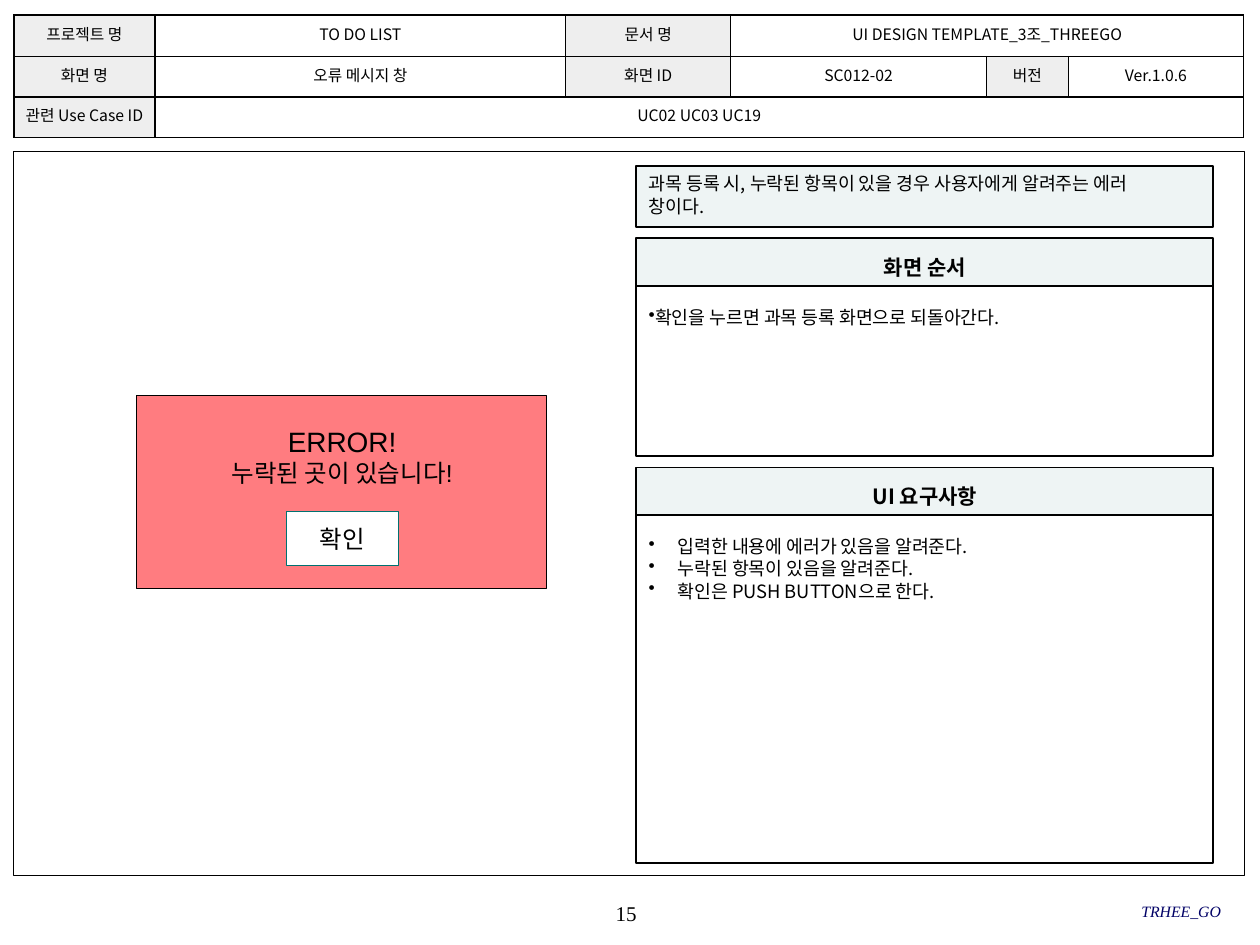
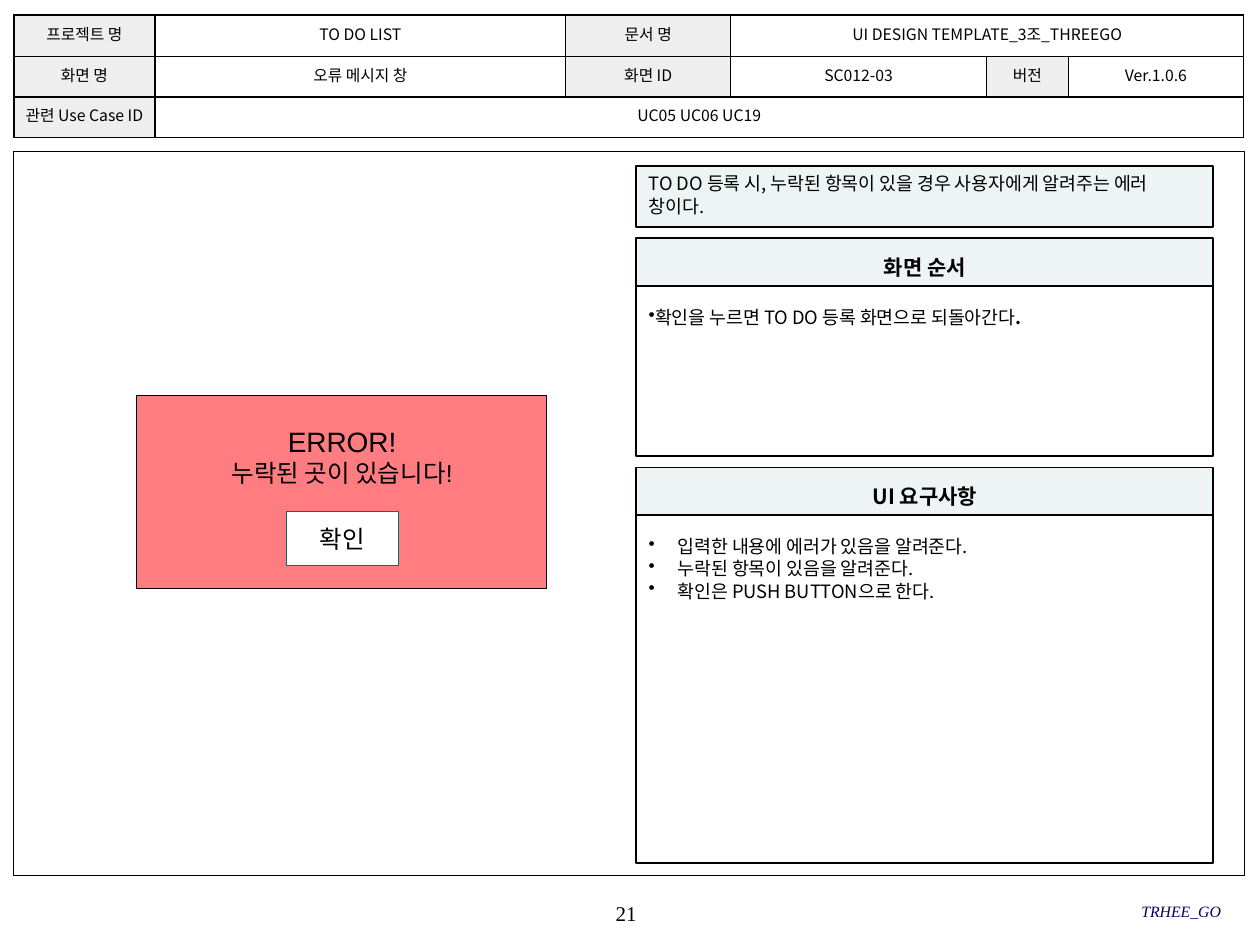
import copy
import pptx
import pptx.util
import pptx.dml.color
import pptx.enum.shapes
import pptx.enum.text
import pptx.oxml
import pptx.oxml.ns

Inches = pptx.util.Inches
Pt = pptx.util.Pt
RGBColor = pptx.dml.color.RGBColor
ALIGN = pptx.enum.text.PP_ALIGN
ANCHOR = pptx.enum.text.MSO_ANCHOR
RECT = pptx.enum.shapes.MSO_SHAPE.RECTANGLE
qn = pptx.oxml.ns.qn

BLACK = RGBColor(0x00, 0x00, 0x00)
WHITE = RGBColor(0xFF, 0xFF, 0xFF)
GRAY = RGBColor(0xEE, 0xEE, 0xEE)
MINT = RGBColor(0xEE, 0xF4, 0xF4)
RED = RGBColor(0xFF, 0x7C, 0x80)
TEAL = RGBColor(0x00, 0x71, 0x71)
NAVY = RGBColor(0x00, 0x00, 0x66)
SANS = "Noto Sans CJK KR"
SERIF = "Times New Roman"
EDGE = (
    '<a:{} xmlns:a="http://schemas.openxmlformats.org/drawingml/2006/main" w="12700">'
    '<a:solidFill><a:srgbClr val="000000"/></a:solidFill></a:{}>'
)

LEFT, WIDE = 0.11, 9.77
SIDE, SPAN = 5.05, 4.58
HEAD = 0.38
COLS = [1.12, 3.26, 1.31, 2.03, 0.65, 1.39]
ROWS = [0.33, 0.32, 0.32]
LABELS = {"프로젝트 명", "문서 명", "화면 명", "화면 ID", "버전", "관련 Use Case ID"}
NEEDS = ["입력한 내용에 에러가 있음을 알려준다.", "누락된 항목이 있음을 알려준다.", "확인은 PUSH BUTTON으로 한다."]

PAGES = [
    {
        "page": "15", "code": "SC012-02", "cases": "UC02 UC03 UC19",
        "about": "과목 등록 시, 누락된 항목이 있을 경우 사용자에게 알려주는 에러",
        "step": "확인을 누르면 과목 등록 화면으로 되돌아간다", "heavy": False,
    },
    {
        "page": "21", "code": "SC012-03", "cases": "UC05 UC06 UC19",
        "about": "TO DO 등록 시, 누락된 항목이 있을 경우 사용자에게 알려주는 에러",
        "step": "확인을 누르면 TO DO 등록 화면으로 되돌아간다", "heavy": True,
    },
]


def box(slide, x, y, w, h, fill=None, line=None, width=1):
    shape = slide.shapes.add_shape(RECT, Inches(x), Inches(y), Inches(w), Inches(h))
    shape.shadow.inherit = False
    if fill is None:
        shape.fill.background()
    else:
        shape.fill.solid()
        shape.fill.fore_color.rgb = fill
    if line is None:
        shape.line.fill.background()
    else:
        shape.line.color.rgb = line
        shape.line.width = Pt(width)
    return shape


def write(frame, lines, size, align=ALIGN.CENTER, font=SANS, color=BLACK,
          bold=False, anchor=ANCHOR.TOP, inset=(0.1, 0.05), indent=None):
    frame.text = "\n".join(lines)
    frame.word_wrap = True
    frame.vertical_anchor = anchor
    frame.margin_left = frame.margin_right = Inches(inset[0])
    frame.margin_top = Inches(inset[1])
    frame.margin_bottom = Inches(min(inset[1], 0.05))
    for para in frame.paragraphs:
        para.alignment = align
        para.line_spacing = Pt(size * 1.2)
        if indent is not None:
            props = para._p.get_or_add_pPr()
            props.set("marL", str(Inches(indent)))
            props.set("indent", str(-Inches(indent)))
            mark = pptx.oxml.ns.nsdecls("a")
            props.append(pptx.oxml.parse_xml(f'<a:buChar {mark} char="•"/>'))
        for run in para.runs:
            run.font.name = font
            run.font.size = Pt(size)
            run.font.bold = bold
            run.font.color.rgb = color
            east = run.font._element.makeelement(qn("a:ea"), {"typeface": SANS})
            run.font._element.find(qn("a:latin")).addnext(east)


deck = pptx.Presentation()
deck.slide_width = Inches(10)
deck.slide_height = Inches(7.5)

for data in PAGES:
    slide = deck.slides.add_slide(deck.slide_layouts[6])
    box(slide, LEFT, 1.2, WIDE, 5.75, line=BLACK, width=0.75)

    foot = slide.shapes.add_textbox(Inches(3.93), Inches(7.08), Inches(2.08), Inches(0.33))
    write(foot.text_frame, [data["page"]], 12, font=SERIF, anchor=ANCHOR.MIDDLE, inset=(0, 0))
    team = slide.shapes.add_textbox(Inches(6.63), Inches(7.07), Inches(3.06), Inches(0.33))
    write(team.text_frame, ["TRHEE_GO"], 9, ALIGN.RIGHT, SERIF, NAVY,
          anchor=ANCHOR.MIDDLE, inset=(0, 0))
    team.text_frame.paragraphs[0].runs[0].font.italic = True

    about = box(slide, SIDE, 1.32, SPAN, 0.48, MINT, BLACK)
    write(about.text_frame, [data["about"], "창이다."], 10.5, ALIGN.LEFT)

    panels = [
        ("화면 순서", 1.89, 1.35, [data["step"]], 0),
        ("UI 요구사항", 3.71, 2.76, NEEDS, 0.23),
    ]
    for title, top, tall, lines, indent in panels:
        head = box(slide, SIDE, top, SPAN, HEAD, MINT, BLACK)
        write(head.text_frame, [title], 12, bold=True, inset=(0.1, 0.13))
        body = box(slide, SIDE, top + HEAD, SPAN, tall, WHITE, BLACK)
        write(body.text_frame, lines, 10.5, ALIGN.JUSTIFY, inset=(0.1, 0.16), indent=indent)
        if title == "화면 순서":
            step = body.text_frame.paragraphs[0]
            last = step.runs[0]._r
            last.addnext(copy.deepcopy(last))
            step.runs[1].text = "."
            step.runs[1].font.bold = data["heavy"]

    box(slide, 1.08, 3.14, 3.26, 1.53, RED, BLACK, 0.5)
    button = box(slide, 2.27, 4.06, 0.89, 0.43, WHITE, TEAL, 0.5)
    write(button.text_frame, ["확인"], 14, anchor=ANCHOR.MIDDLE)
    alert = box(slide, 1.24, 3.33, 2.95, 0.61, RED)
    write(alert.text_frame, ["ERROR!", "누락된 곳이 있습니다!"], 14, font="Arial")
    error = alert.text_frame.paragraphs[0]
    error.line_spacing = Pt(18.4)
    error.runs[0].font.size = Pt(16)

    cells = [
        ["프로젝트 명", "TO DO LIST", "문서 명", "UI DESIGN TEMPLATE_3조_THREEGO", "", ""],
        ["화면 명", "오류 메시지 창", "화면 ID", data["code"], "버전", "Ver.1.0.6"],
        ["관련 Use Case ID", data["cases"], "", "", "", ""],
    ]
    frame = slide.shapes.add_table(3, 6, Inches(LEFT), Inches(0.12), Inches(WIDE), Inches(sum(ROWS)))
    table = frame.table
    table.first_row = False
    table.horz_banding = False
    for col, width in zip(table.columns, COLS):
        col.width = Inches(width)
    for row, height in zip(table.rows, ROWS):
        row.height = Inches(height)
    for r, texts in enumerate(cells):
        for c, text in enumerate(texts):
            cell = table.cell(r, c)
            write(cell.text_frame, [text], 9)
            cell.vertical_anchor = ANCHOR.MIDDLE
            cell.margin_left = cell.margin_right = Inches(0.04)
            cell.margin_top = cell.margin_bottom = Inches(0.02)
            props = cell._tc.get_or_add_tcPr()
            for side in ("lnL", "lnR", "lnT", "lnB"):
                props.append(pptx.oxml.parse_xml(EDGE.format(side, side)))
            cell.fill.solid()
            cell.fill.fore_color.rgb = GRAY if text in LABELS else WHITE
    table.cell(0, 3).merge(table.cell(0, 5))
    table.cell(2, 1).merge(table.cell(2, 5))

deck.save("out.pptx")
